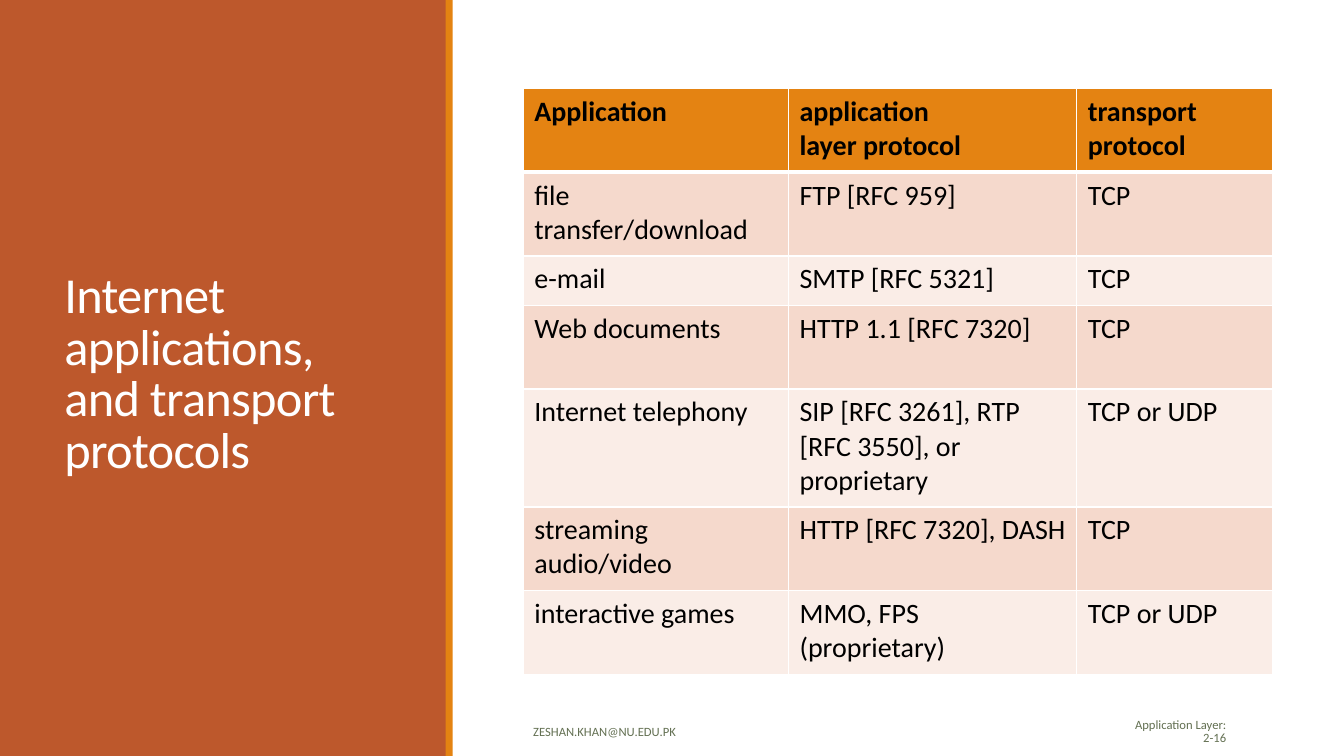
"""Build the slide on Internet applications and their transport protocols."""
from dataclasses import dataclass

from lxml import etree
from pptx import Presentation, util as u
from pptx.dml.color import RGBColor
from pptx.enum import shapes, text
from pptx.oxml import ns

EMU_PER_PX = 9144


@dataclass(frozen=True)
class Theme:
    font: str = "Calibri"
    rust: str = "BD582C"
    orange: str = "E48312"
    white: str = "FFFFFF"
    black: str = "000000"
    olive: str = "637052"
    bands: tuple[str, str] = ("F5D9CC", "FAEDE7")
    title_size: int = 36
    table_size: int = 20
    footer_size: int = 9
    thin: int = 1
    thick: int = 3


@dataclass(frozen=True)
class Area:
    left: int
    top: int
    width: int
    height: int

    def emu(self) -> tuple[int, int, int, int]:
        return px(self.left), px(self.top), px(self.width), px(self.height)


@dataclass(frozen=True)
class Panel:
    area: Area
    color: str


@dataclass(frozen=True)
class Label:
    area: Area
    words: str
    size: int
    color: str
    align: text.PP_ALIGN = text.PP_ALIGN.LEFT
    line_spacing: float = 1.0
    tracking: int = 0


THEME = Theme()
PANELS = (
    Panel(Area(0, 0, 443, 750), THEME.rust),
    Panel(Area(442, 0, 7, 750), THEME.orange),
)
LABELS = (
    Label(Area(54, 57, 337, 631), "Internet applications, and transport protocols",
          THEME.title_size, THEME.white, line_spacing=0.85, tracking=-50),
    Label(Area(519, 706, 558, 40), "ZESHAN.KHAN@NU.EDU.PK",
          THEME.footer_size, THEME.olive),
    Label(Area(1107, 706, 119, 40), "Application Layer: 2-16",
          THEME.footer_size, THEME.olive, text.PP_ALIGN.RIGHT, 0.9),
)
TABLE_AREA = Area(519, 88, 743, 581)
COLUMN_WIDTHS = (263, 286, 194)
ROW_HEIGHTS = (83, 83, 49, 83, 117, 83, 83)
ROWS = (
    ("Application", "application\nlayer protocol", "transport protocol"),
    ("file transfer/download", "FTP [RFC 959]", "TCP"),
    ("e-mail", "SMTP [RFC 5321]", "TCP"),
    ("Web documents", "HTTP 1.1 [RFC 7320]", "TCP"),
    ("Internet telephony", "SIP [RFC 3261], RTP [RFC 3550], or proprietary", "TCP or UDP"),
    ("streaming audio/video", "HTTP [RFC 7320], DASH", "TCP"),
    ("interactive games", "MMO, FPS (proprietary)", "TCP or UDP"),
)


def px(length: int) -> int:
    return length * EMU_PER_PX


def add_span(para, words: str, size: int, color: str, bold: bool = False):
    span = para.add_run()
    span.text = words
    span.font.name = THEME.font
    span.font.size = u.Pt(size)
    span.font.bold = bold
    span.font.color.rgb = RGBColor.from_string(color)
    return span


def add_panel(page, panel: Panel) -> None:
    shape = page.shapes.add_shape(shapes.MSO_SHAPE.RECTANGLE, *panel.area.emu())
    shape.shadow.inherit = False
    shape.fill.solid()
    shape.fill.fore_color.rgb = RGBColor.from_string(panel.color)
    shape.line.fill.background()


def add_label(page, label: Label) -> None:
    box = page.shapes.add_textbox(*label.area.emu())
    frame = box.text_frame
    frame.word_wrap = True
    frame.vertical_anchor = text.MSO_ANCHOR.MIDDLE
    para = frame.paragraphs[0]
    para.alignment = label.align
    para.line_spacing = label.line_spacing
    span = add_span(para, label.words, label.size, label.color)
    if label.tracking:
        span.font._element.set("spc", str(label.tracking))


def add_border(cell, side: str, points: int) -> None:
    properties = cell._tc.get_or_add_tcPr()
    line = etree.SubElement(properties, ns.qn(f"a:ln{side}"), w=str(u.Pt(points)))
    fill = etree.SubElement(line, ns.qn("a:solidFill"))
    etree.SubElement(fill, ns.qn("a:srgbClr"), val=THEME.white)


def fill_cell(cell, words: str, row: int) -> None:
    header = row == 0
    cell.margin_left = cell.margin_right = px(11)
    cell.margin_top = cell.margin_bottom = px(6)
    for side in "LRTB":
        heavy = (row, side) in ((0, "B"), (1, "T"))
        add_border(cell, side, THEME.thick if heavy else THEME.thin)
    cell.fill.solid()
    color = THEME.orange if header else THEME.bands[(row - 1) % 2]
    cell.fill.fore_color.rgb = RGBColor.from_string(color)
    frame = cell.text_frame
    for index, line in enumerate(words.split("\n")):
        para = frame.add_paragraph() if index else frame.paragraphs[0]
        add_span(para, line, THEME.table_size, THEME.black, header)


def add_protocol_table(page) -> None:
    frame = page.shapes.add_table(len(ROWS), len(COLUMN_WIDTHS), *TABLE_AREA.emu())
    table = frame.table
    for column, width in zip(table.columns, COLUMN_WIDTHS):
        column.width = px(width)
    for row, height in zip(table.rows, ROW_HEIGHTS):
        row.height = px(height)
    for row, entries in enumerate(ROWS):
        for column, words in enumerate(entries):
            fill_cell(table.cell(row, column), words, row)


def main() -> None:
    deck = Presentation()
    deck.slide_width, deck.slide_height = u.Inches(13.33), u.Inches(7.5)
    page = deck.slides.add_slide(deck.slide_layouts[6])
    for panel in PANELS:
        add_panel(page, panel)
    for label in LABELS:
        add_label(page, label)
    add_protocol_table(page)
    deck.save("out.pptx")


if __name__ == "__main__":
    main()
